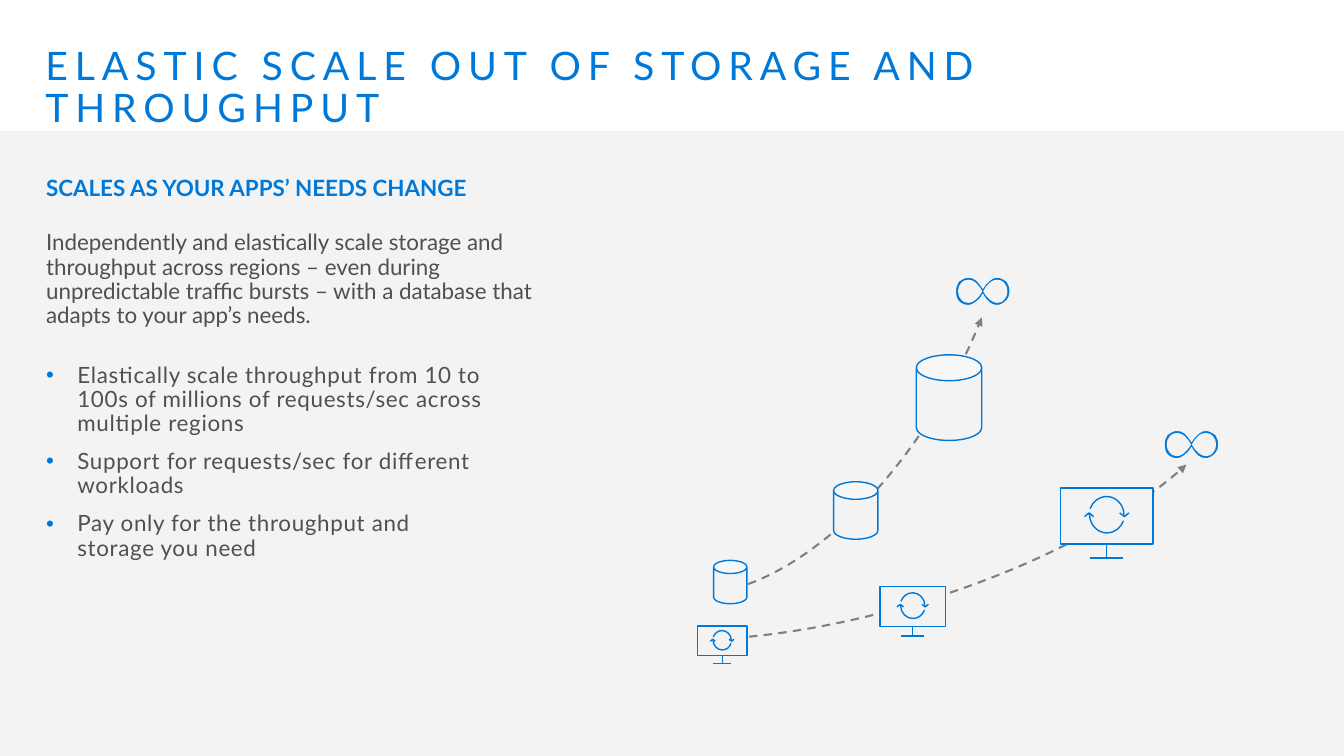
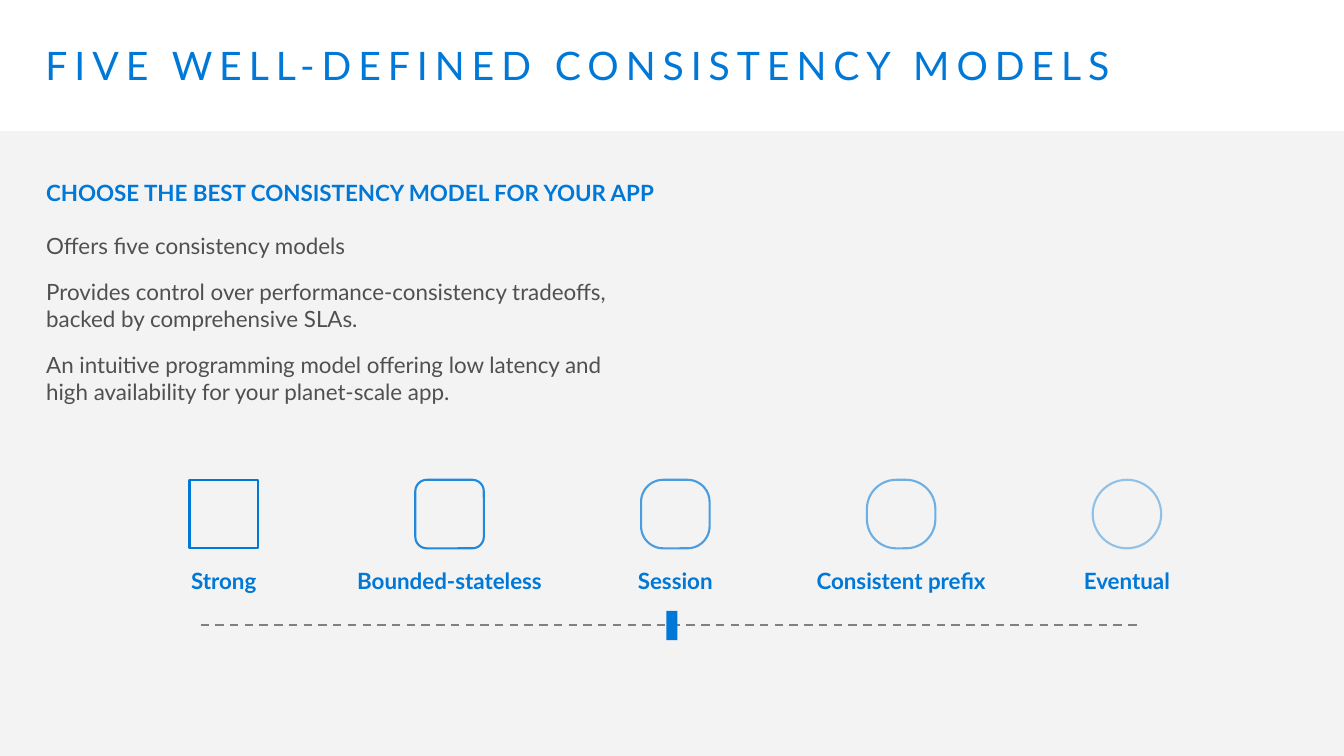
from lxml import etree
from pptx import Presentation
from pptx import util as u
from pptx.dml import color as dml_color
from pptx.enum import dml, shapes, text
from pptx.oxml import ns

COLORS = {"blue": "0078D7", "gray": "808080", "body": "505050", "band": "F2F2F2", "panel": "F3F3F3"}
FONT = "Lato"
PRESET = shapes.MSO_SHAPE
STRAIGHT = shapes.MSO_CONNECTOR.STRAIGHT


def style(shape, fill=None, line=None, width=1, dashed=False):
    if hasattr(shape, "fill"):
        if fill:
            shape.fill.solid()
            shape.fill.fore_color.rgb = dml_color.RGBColor.from_string(COLORS[fill])
        else:
            shape.fill.background()
    if line:
        shape.line.color.rgb = dml_color.RGBColor.from_string(COLORS[line])
        shape.line.width = u.Pt(width)
        if dashed:
            shape.line.dash_style = dml.MSO_LINE.DASH
    else:
        shape.line.fill.background()
    etree.SubElement(shape.element.spPr, ns.qn("a:effectLst"))


def write(frame, content, color, size=16, bold=False, tracking=0, before=0, leading=None):
    paragraph = frame.paragraphs[0]
    if paragraph.runs:
        paragraph = frame.add_paragraph()
    paragraph.space_before = u.Pt(before)
    paragraph.line_spacing = leading
    run = paragraph.add_run()
    run.text = content
    run.font.name = FONT
    run.font.size = u.Pt(size)
    run.font.bold = bold
    run.font.color.rgb = dml_color.RGBColor.from_string(COLORS[color])
    if tracking:
        run.font._element.set("spc", str(int(tracking * 100)))
    return paragraph


presentation = Presentation()
presentation.slide_width = u.Inches(40 / 3)
presentation.slide_height = u.Inches(7.5)
layout = presentation.slide_layouts[5]

slides = []
for heading in ("ELASTIC SCALE OUT OF STORAGE AND THROUGHPUT", "FIVE WELL-DEFINED CONSISTENCY MODELS"):
    slide = presentation.slides.add_slide(layout)
    title = slide.shapes.title
    title.left, title.top, title.width, title.height = map(u.Inches, (0.29, 0.36, 12.75, 0.98))
    frame = title.text_frame
    frame.margin_left = frame.margin_right = u.Inches(0.16)
    frame.margin_top = frame.margin_bottom = u.Inches(0.1)
    frame.vertical_anchor = text.MSO_ANCHOR.TOP
    frame.auto_size = text.MSO_AUTO_SIZE.NONE
    frame.word_wrap = True
    write(frame, heading, "blue", 28, tracking=5, leading=0.9).alignment = text.PP_ALIGN.LEFT
    slides.append(slide)
scale_slide, model_slide = slides

band = scale_slide.shapes.add_shape(
    PRESET.RECTANGLE, 0, u.Inches(1.3), presentation.slide_width, u.Inches(6.2)
)
style(band, "band")
band_color = band.element.spPr.find(ns.qn("a:solidFill"))[0]
etree.SubElement(band_color, ns.qn("a:alpha"), val="89000")
layout.shapes.element.insert(2, band.element)

for left, top, width, height in ((9.09, 3.52, 0.65, 0.85), (8.27, 4.78, 0.44, 0.57), (7.08, 5.56, 0.33, 0.43)):
    cylinder = scale_slide.shapes.add_shape(PRESET.CAN, *map(u.Inches, (left, top, width, height)))
    cylinder.adjustments[0] = 0.395
    style(cylinder, "panel", "blue")

infinity_outline = [
    (13, 0), (19, 0), (23, 4), (27, 11), (29, 8), (31, 5), (34, 3), (36, 1), (39, 0), (41, 0),
    (45, 0), (48, 2), (51, 4), (53, 7), (54, 10), (54, 14), (54, 18), (53, 21), (50, 24),
    (48, 26), (45, 28), (41, 28), (35, 28), (31, 24), (27, 17), (25, 21), (23, 23), (20, 25),
    (18, 27), (15, 28), (13, 28), (9, 28), (6, 27), (3, 24), (1, 22), (0, 18), (0, 14),
    (0, 10), (1, 7), (3, 4), (6, 2), (9, 0), (13, 0),
]
left_hole = [
    (13, 3), (10, 3), (7, 4), (6, 6), (4, 8), (3, 11), (3, 14), (3, 17), (4, 20), (6, 22),
    (7, 24), (10, 25), (13, 25), (17, 25), (22, 21), (26, 14), (22, 7), (18, 3), (13, 3),
]
right_hole = [(54 - x, y) for x, y in left_hole]
infinity = [infinity_outline, left_hole, right_hole]
storage_trend = [[(714, 587), (802, 572), (915, 464), (974, 315)]]
throughput_trend = [[(714, 634), (871, 625), (1073, 556), (1177, 461)]]
half_cycle = [(18, 6.5), (15.2, 14.1), (8.7, 19.6), (0, 19.6), (-9.8, 19.6), (-18.5, 10.9), (-18.5, 0)]

curves = [
    (scale_slide.shapes, storage_trend, 0, 0, 1, "trend"),
    (scale_slide.shapes, throughput_trend, 0, 0, 1, "trend"),
    (scale_slide.shapes, infinity, 9.48, 2.75, 1, "infinity"),
    (scale_slide.shapes, infinity, 11.55, 4.27, 1, "infinity"),
]

for left, top, width in ((6.92, 6.21, 0.49), (8.73, 5.82, 0.65), (10.52, 4.84, 0.92)):
    monitor = scale_slide.shapes.add_group_shape().shapes
    height = width * 0.605
    center_x, center_y = left + width / 2, top + width * 0.29
    bottom, foot = top + height, top + height + width * 0.15
    screen = monitor.add_shape(PRESET.RECTANGLE, *map(u.Inches, (left, top, width, height)))
    style(screen, "panel", "blue")
    segments = [
        (center_x, bottom, center_x, foot),
        (center_x - width * 0.18, foot, center_x + width * 0.18, foot),
    ]
    for side in (1, -1):
        tip_x = center_x + side * width * 0.19
        rise = side * width * 0.02
        segments.append((tip_x, center_y, tip_x, center_y + rise))
        arc = [(side * x, side * y) for x, y in half_cycle]
        curves.append((monitor, [arc], center_x, center_y, width, "cycle"))
        wing = side * width * 0.05
        points = [
            (u.Inches(x), u.Inches(y))
            for x, y in (
                (tip_x - wing, center_y - rise), (tip_x, center_y + rise), (tip_x + wing, center_y - rise)
            )
        ]
        builder = monitor.build_freeform(*points[0])
        builder.add_line_segments(points[1:], close=False)
        style(builder.convert_to_shape(), line="blue")
    for segment in segments:
        style(monitor.add_connector(STRAIGHT, *map(u.Inches, segment)), line="blue")

for owner, contours, left, top, scale, role in curves:
    builder = None
    for contour in contours:
        points = [(u.Inches(left + scale * x / 100), u.Inches(top + scale * y / 100)) for x, y in contour]
        if builder is None:
            builder = owner.build_freeform(*points[0])
        else:
            builder.move_to(*points[0])
        builder.add_line_segments(points[1:], close=role == "infinity")
    curve = builder.convert_to_shape()
    controls = list(curve.element.iter(ns.qn("a:lnTo")))
    for start in range(0, len(controls), 3):
        cubic = etree.Element(ns.qn("a:cubicBezTo"))
        controls[start].addprevious(cubic)
        for control in controls[start:start + 3]:
            cubic.append(control[0])
            control.getparent().remove(control)
    if role == "trend":
        style(curve, line="gray", width=1.5, dashed=True)
        line_element = curve.element.spPr.find(ns.qn("a:ln"))
        etree.SubElement(line_element, ns.qn("a:tailEnd"), type="triangle")
        scale_slide.shapes.element.insert(2, curve.element)
    elif role == "infinity":
        style(curve, "blue", "panel", 0.75)
    else:
        style(curve, line="blue")

frames = []
for slide, box in (
    (scale_slide, (0.36, 1.71, 5.47, 1.63)),
    (scale_slide, (0.36, 3.56, 4.56, 2.08)),
    (model_slide, (0.36, 1.73, 12.75, 0.6)),
    (model_slide, (0.36, 2.25, 6.15, 2.34)),
):
    frame = slide.shapes.add_textbox(*map(u.Inches, box)).text_frame
    frame.word_wrap = True
    frames.append(frame)
scale_intro, scale_bullets, model_heading, model_intro = frames

write(scale_intro, "SCALES AS YOUR APPS’ NEEDS CHANGE", "blue", bold=True, before=3.2, leading=0.9)
write(
    scale_intro,
    "Independently and elastically scale storage and throughput across regions – even during "
    "unpredictable traffic bursts – with a database that adapts to your app’s needs.",
    "body", before=21.5, leading=0.9,
)
for content in (
    "Elastically scale throughput from 10 to 100s of millions of requests/sec across multiple regions",
    "Support for requests/sec for different workloads",
    "Pay only for the throughput and storage you need",
):
    paragraph = write(scale_bullets, content, "body", tracking=0.5, before=10, leading=0.9)
    properties = paragraph._p.get_or_add_pPr()
    properties.set("marL", str(u.Inches(0.31)))
    properties.set("indent", str(u.Inches(-0.31)))
    bullet_color = etree.SubElement(properties, ns.qn("a:buClr"))
    etree.SubElement(bullet_color, ns.qn("a:srgbClr"), val=COLORS["blue"])
    etree.SubElement(properties, ns.qn("a:buFont"), typeface="Arial")
    etree.SubElement(properties, ns.qn("a:buChar"), char="•")

write(model_heading, "CHOOSE THE BEST CONSISTENCY MODEL FOR YOUR APP", "blue", bold=True, before=3.2)
for content in (
    "Offers five consistency models",
    "Provides control over performance-consistency tradeoffs, backed by comprehensive SLAs.",
    "An intuitive programming model offering low latency and high availability for your planet-scale app.",
):
    write(model_intro, content, "body", before=14)

for index, (name, preset, rounding, label_width) in enumerate((
    ("Strong", PRESET.RECTANGLE, None, 0.68),
    ("Bounded-stateless", PRESET.ROUNDED_RECTANGLE, 0.167, 1.87),
    ("Session", PRESET.ROUNDED_RECTANGLE, 0.322, 0.76),
    ("Consistent prefix", PRESET.ROUNDED_RECTANGLE, 0.427, 1.71),
    ("Eventual", PRESET.OVAL, None, 0.87),
)):
    center = 2.22 + index * 2.24
    symbol = model_slide.shapes.add_shape(preset, *map(u.Inches, (center - 0.34, 4.76, 0.68, 0.68)))
    if rounding:
        symbol.adjustments[0] = rounding
    style(symbol, "panel", "blue", 1.5)
    if index:
        line_color = symbol.element.spPr.find(ns.qn("a:ln")).find(ns.qn("a:solidFill"))[0]
        etree.SubElement(line_color, ns.qn("a:alpha"), val=str(100000 - index * 15000))
    label_box = (center - label_width / 2, 5.58, label_width, 0.37)
    frame = model_slide.shapes.add_textbox(*map(u.Inches, label_box)).text_frame
    frame.margin_left = frame.margin_right = 0
    frame.word_wrap = False
    write(frame, name, "blue", bold=True).alignment = text.PP_ALIGN.CENTER

track = model_slide.shapes.add_connector(STRAIGHT, *map(u.Inches, (1.99, 6.2, 11.33, 6.2)))
style(track, line="gray", width=1.5, dashed=True)
marker = model_slide.shapes.add_shape(PRESET.RECTANGLE, *map(u.Inches, (6.61, 6.06, 0.11, 0.29)))
style(marker, "blue")

presentation.save("out.pptx")
